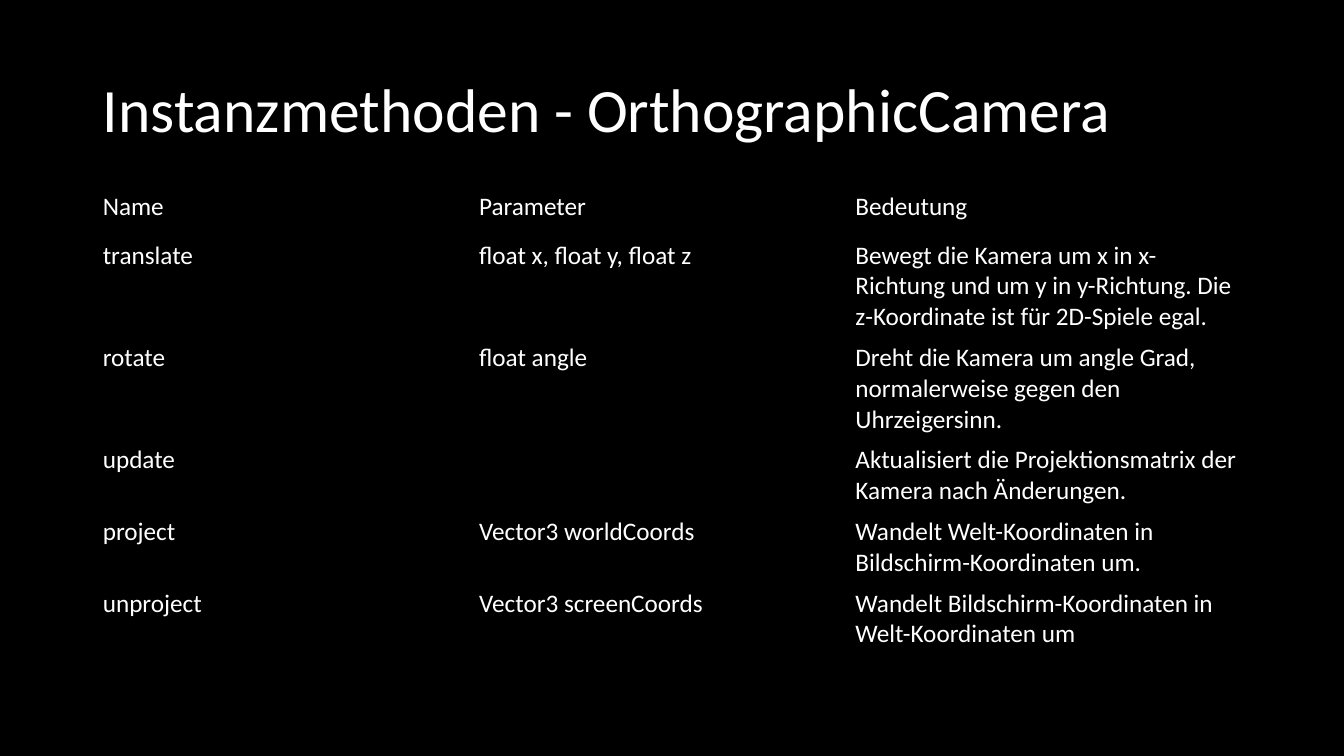
"""Build a slide with a table of the instance methods of OrthographicCamera."""
from dataclasses import dataclass

from lxml import etree
from pptx import Presentation
from pptx import util as u
from pptx.dml.color import RGBColor
from pptx.enum import text
from pptx.oxml.ns import qn


@dataclass(frozen=True)
class Theme:
    """Colours, font and type sizes of the slide."""
    back: RGBColor = RGBColor(0x00, 0x00, 0x00)
    ink: RGBColor = RGBColor(0xFF, 0xFF, 0xFF)
    font: str = "Calibri"
    title: int = 44
    body: int = 18


THEME = Theme()
WIDTH, HEIGHT = u.Inches(13.33), u.Inches(7.5)
LEFT, CONTENT_WIDTH = 0.069, 0.863
TITLE_TOP, TITLE_HEIGHT = 0.053, 0.193
TABLE_TOP, ROW_HEIGHT = 0.247, 0.064
COLUMNS = (0.28, 0.28, 0.303)
METHODS = (
    ("Name", "Parameter", "Bedeutung"),
    ("translate", "float x, float y, float z",
     "Bewegt die Kamera um x in x-Richtung und um y in y-Richtung. "
     "Die z-Koordinate ist für 2D-Spiele egal."),
    ("rotate", "float angle",
     "Dreht die Kamera um angle Grad, normalerweise gegen den Uhrzeigersinn."),
    ("update", "",
     "Aktualisiert die Projektionsmatrix der Kamera nach Änderungen."),
    ("project", "Vector3 worldCoords",
     "Wandelt Welt-Koordinaten in Bildschirm-Koordinaten um."),
    ("unproject", "Vector3 screenCoords",
     "Wandelt Bildschirm-Koordinaten in Welt-Koordinaten um"),
)


def across(share):
    """Turn a share of the slide width into a length."""
    return int(WIDTH * share)


def down(share):
    """Turn a share of the slide height into a length."""
    return int(HEIGHT * share)


def write(p, content, size):
    """Add one run in the theme's font and ink."""
    r = p.add_run()
    r.text = content
    r.font.name = THEME.font
    r.font.size = u.Pt(size)
    r.font.color.rgb = THEME.ink


def add_title(s, content):
    """Place and fill the title placeholder."""
    sp = s.shapes.title
    sp.left, sp.top = across(LEFT), down(TITLE_TOP)
    sp.width, sp.height = across(CONTENT_WIDTH), down(TITLE_HEIGHT)
    tf = sp.text_frame
    tf.vertical_anchor = text.MSO_ANCHOR.MIDDLE
    p = tf.paragraphs[0]
    p.alignment = text.PP_ALIGN.LEFT
    p.line_spacing = 0.9
    write(p, content, THEME.title)


def clear_cell(cell):
    """Remove the borders and the fill of a cell."""
    props = cell._tc.get_or_add_tcPr()
    for side in "LRTB":
        line = etree.SubElement(props, qn(f"a:ln{side}"))
        etree.SubElement(line, qn("a:noFill"))
    cell.fill.background()


def add_table(s, rows):
    """Add a plain table without bands, borders or fills."""
    frame = s.shapes.add_table(
        len(rows), len(COLUMNS), across(LEFT), down(TABLE_TOP),
        across(CONTENT_WIDTH), down(ROW_HEIGHT * len(rows)))
    table = frame.table
    table.first_row = table.horz_banding = False
    for column, share in zip(table.columns, COLUMNS):
        column.width = across(share)
    for row, contents in zip(table.rows, rows):
        row.height = down(ROW_HEIGHT)
        for cell, content in zip(row.cells, contents):
            clear_cell(cell)
            if content:
                write(cell.text_frame.paragraphs[0], content, THEME.body)


def main():
    """Build and save the slide."""
    prs = Presentation()
    prs.slide_width, prs.slide_height = WIDTH, HEIGHT
    s = prs.slides.add_slide(prs.slide_layouts.get_by_name("Title Only"))
    s.background.fill.solid()
    s.background.fill.fore_color.rgb = THEME.back
    add_title(s, "Instanzmethoden - OrthographicCamera")
    add_table(s, METHODS)
    prs.save("out.pptx")


if __name__ == "__main__":
    main()
